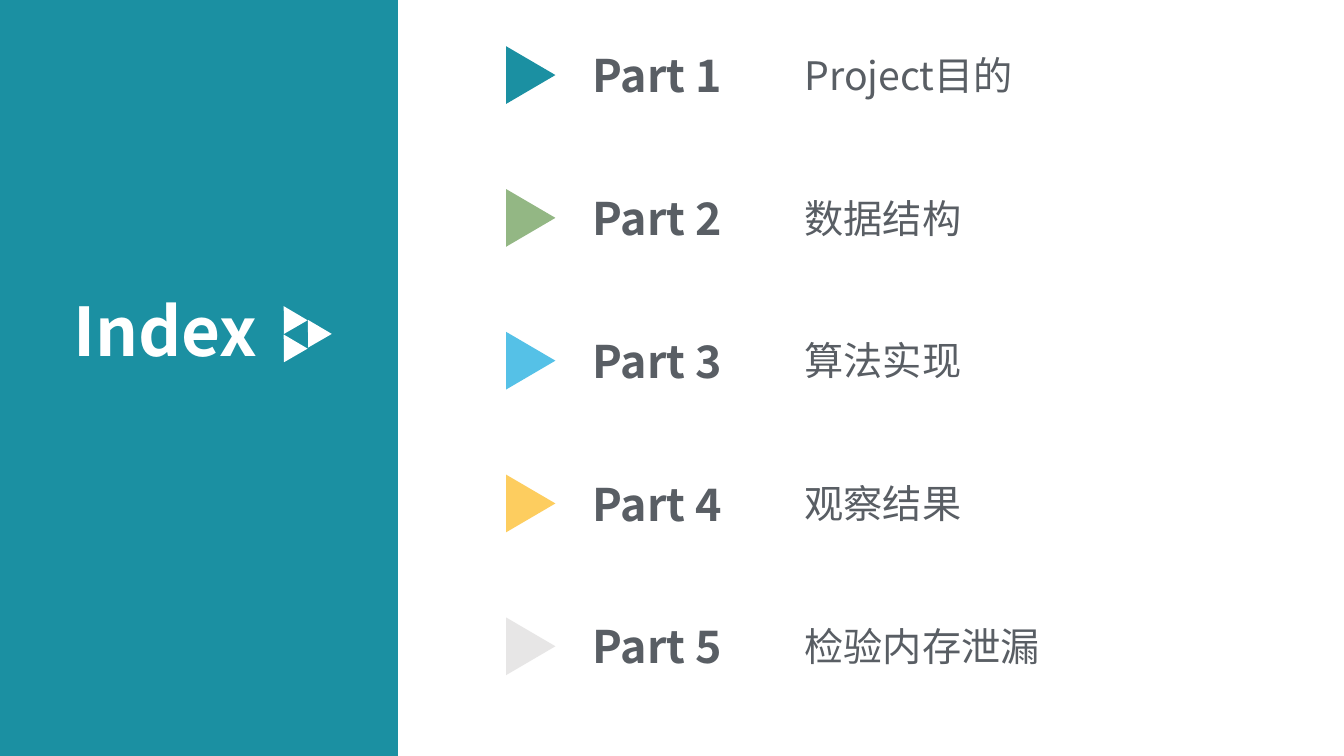
from lxml import etree
from pptx import Presentation
from pptx.dml.color import RGBColor
from pptx.enum.shapes import MSO_SHAPE
from pptx.enum.text import MSO_ANCHOR, PP_ALIGN
from pptx.oxml.ns import qn
from pptx.util import Pt

RECTANGLE = MSO_SHAPE.RECTANGLE
TRIANGLE = MSO_SHAPE.ISOSCELES_TRIANGLE
TOP = MSO_ANCHOR.TOP
LEFT = PP_ALIGN.LEFT

PX = 9525
FONT = "Noto Sans CJK SC"
TEAL = RGBColor(0x1B, 0x90, 0xA2)
GREEN = RGBColor(0x93, 0xB7, 0x84)
BLUE = RGBColor(0x55, 0xC1, 0xE7)
YELLOW = RGBColor(0xFD, 0xCD, 0x5F)
LIGHT = RGBColor(0xE7, 0xE6, 0xE6)
GRAY = RGBColor(0x59, 0x5E, 0x64)
WHITE = RGBColor(0xFF, 0xFF, 0xFF)

PARTS = [
    ("Project目的", TEAL),
    ("数据结构", GREEN),
    ("算法实现", BLUE),
    ("观察结果", YELLOW),
    ("检验内存泄漏", LIGHT),
]
ROW_PITCH = 136

prs = Presentation()
prs.slide_width = 1280 * PX
prs.slide_height = 720 * PX
s = prs.slides.add_slide(prs.slide_layouts[5])


def add_filled(kind, x, y, w, h, color, rotation=0):
    sp = s.shapes.add_shape(kind, x * PX, y * PX, w * PX, h * PX)
    sp.shadow.inherit = False
    sp.fill.solid()
    sp.fill.fore_color.rgb = color
    sp.line.fill.background()
    sp.rotation = rotation
    return sp


def write_text(sp, text, size, color, bold):
    tf = sp.text_frame
    tf.word_wrap = True
    tf.vertical_anchor = TOP
    p = tf.paragraphs[0]
    p.text = text
    p.alignment = LEFT
    p.font.size = Pt(size)
    p.font.bold = bold
    p.font.color.rgb = color
    p.font.name = FONT
    props = p._p.pPr.find(qn("a:defRPr"))
    etree.SubElement(props, qn("a:ea"), typeface=FONT)


panel = add_filled(RECTANGLE, 0, 0, 379, 720, TEAL)

title = s.shapes.title
title.left, title.top, title.width, title.height = 60 * PX, 271 * PX, 218 * PX, 87 * PX
write_text(title, "Index", 48, WHITE, True)
panel.element.addnext(title.element)

for x, y in [(263, 290), (263, 317), (286, 303)]:
    add_filled(TRIANGLE, x, y, 26, 23, WHITE, 330)

for i, (topic, color) in enumerate(PARTS):
    y = i * ROW_PITCH
    add_filled(TRIANGLE, 478, 48 + y, 55, 47, color, 90)
    label = s.shapes.add_textbox(555 * PX, (41 + y) * PX, 155 * PX, 61 * PX)
    write_text(label, f"Part {i + 1}", 32, GRAY, True)
    detail = s.shapes.add_textbox(757 * PX, (44 + y) * PX, 384 * PX, 55 * PX)
    write_text(detail, topic, 28, GRAY, False)

prs.save("out.pptx")
